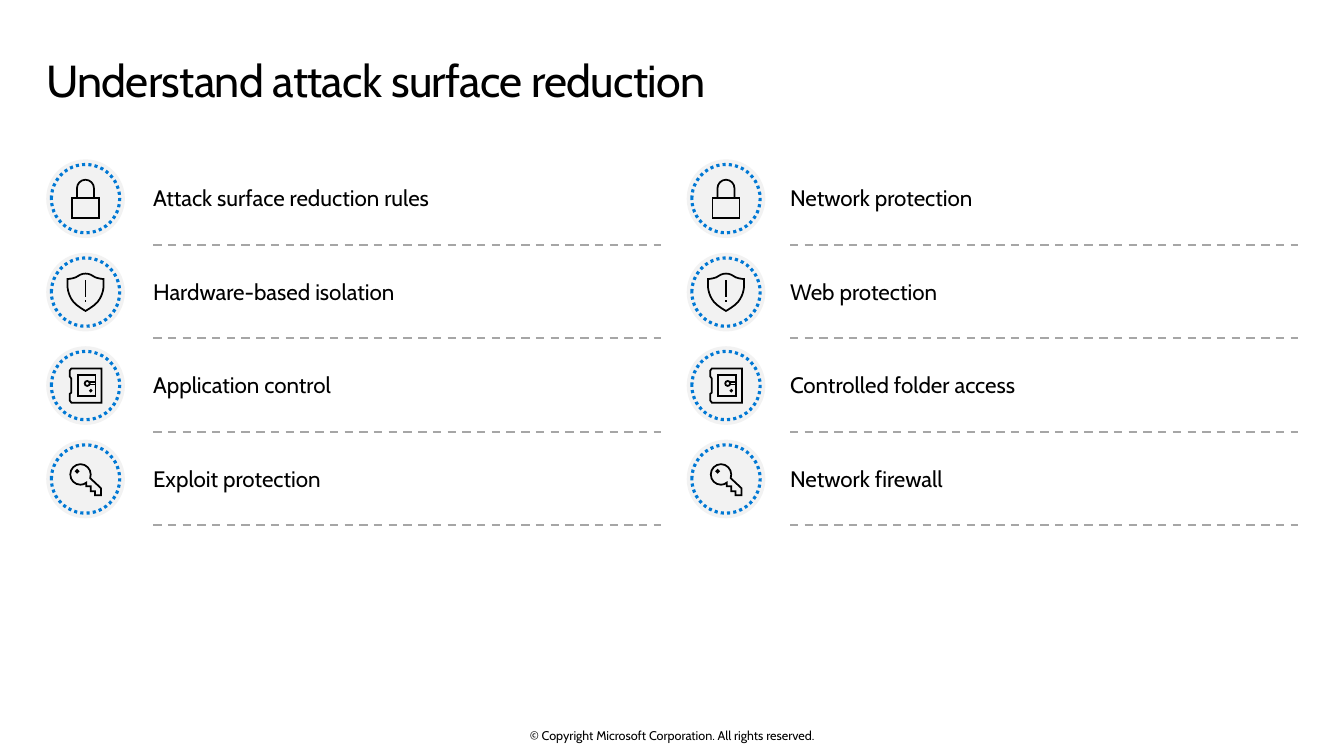
from copy import deepcopy

from lxml import etree
from pptx import Presentation
from pptx.dml.color import RGBColor
from pptx.enum.dml import MSO_LINE
from pptx.enum.shapes import MSO_CONNECTOR, MSO_SHAPE, PP_PLACEHOLDER
from pptx.enum.text import MSO_ANCHOR, MSO_AUTO_SIZE, PP_ALIGN
from pptx.oxml.ns import qn
from pptx.util import Pt

BLACK = RGBColor(0x00, 0x00, 0x00)
DISC_GREY = RGBColor(0xF2, 0xF2, 0xF2)
RULE_GREY = RGBColor(0xA6, 0xA6, 0xA6)
RING_BLUE = RGBColor(0x00, 0x78, 0xD4)
OVAL = MSO_SHAPE.OVAL
STRAIGHT = MSO_CONNECTOR.STRAIGHT
DASH, DOTS = MSO_LINE.DASH, MSO_LINE.ROUND_DOT
TOP, MIDDLE = MSO_ANCHOR.TOP, MSO_ANCHOR.MIDDLE
LEFT, CENTER = PP_ALIGN.LEFT, PP_ALIGN.CENTER
FIXED = MSO_AUTO_SIZE.NONE
BODY = PP_PLACEHOLDER.BODY
FONT = "Cabin"

ROW_TOP, ROW_PITCH, ROW_HEIGHT = 114.8, 66.75, 53
TOPIC_WIDTH, RULE_DROP = 363, 60
DISC_SIZE, RING_SIZE = 56.2, 48.8
COLUMNS = [
    (33, 109.4, ["Attack surface reduction rules", "Hardware-based isolation",
                 "Application control", "Exploit protection"]),
    (490.5, 564.3, ["Network protection", "Web protection",
                    "Controlled folder access", "Network firewall"]),
]


def rectangle(left, top, right, bottom):
    return [(left, top), (right, top), (right, bottom), (left, bottom)]


def circle(x, y, r):
    k = 0.55 * r
    return [
        (x + r, y),
        ((x + r, y + k), (x + k, y + r), (x, y + r)),
        ((x - k, y + r), (x - r, y + k), (x - r, y)),
        ((x - r, y - k), (x - k, y - r), (x, y - r)),
        ((x + k, y - r), (x + r, y - k), (x + r, y)),
    ]


LOCK = [
    (rectangle(-9.7, -0.5, 9.7, 13.6), True),
    ([(-6.1, -0.5), (-6.1, -7.2), ((-6.1, -10.7), (-3.4, -13.5), (0, -13.5)),
      ((3.4, -13.5), (6.1, -10.7), (6.1, -7.2)), (6.1, -0.5)], False),
]
SHIELD = [
    ([(-8.5, 7.2), ((-13.2, 1.5), (-12.9, -5), (-12.9, -5)), (-12.9, -9.3),
      ((-12.9, -9.3), (-10, -9.4), (-7, -10.5)),
      ((-4.7, -11.8), (-3.2, -13.2), (0, -13.2)),
      ((3.2, -13.2), (4.7, -11.8), (7, -10.5)),
      ((10, -9.4), (12.9, -9.3), (12.9, -9.3)), (12.9, -5),
      ((12.9, -5), (13.2, 1.5), (8.5, 7.2)),
      ((6, 10.1), (0, 13.5), (0, 13.5)),
      ((0, 13.5), (-6, 10.1), (-8.5, 7.2))], True),
    ([(0, -8.6), (0, 3.6)], False),
    ([(0, 5.8), (0, 7.2)], False),
]
SAFE = [
    ([(11.5, -12.2), (11.5, 12.2), (-10.1, 12.2),
      ((-10.1, 11.5), (-10.6, 10.8), (-11.2, 10.8)), (-11.2, 5.9),
      ((-10.5, 5.9), (-10.1, 5.6), (-10.1, 5)), (-10.1, -5),
      ((-10.1, -5.8), (-10.6, -6.4), (-11.2, -6.4)), (-11.2, -10.8),
      ((-10.5, -10.8), (-10.1, -11.4), (-10.1, -12.2))], True),
    (rectangle(-5.6, -7.8, 7.2, 7.3), True),
    (circle(1.2, -1.5, 1.8), True),
    (circle(3.8, 3.7, 0.5), True),
    ([(2.9, -2.7), (7.2, -2.7)], False),
    ([(2.9, -0.7), (7.2, -0.7)], False),
]
KEY = [
    ([(0.5, 2.6), ((-0.7, 3.6), (-2, 4.1), (-3.6, 4.1)),
      ((-7.7, 4.1), (-10.9, 0.9), (-10.9, -3.3)),
      ((-10.9, -7.2), (-7.7, -10.6), (-3.6, -10.6)),
      ((0.4, -10.6), (3.7, -7.2), (3.7, -3.3)),
      ((3.7, -2.3), (3.5, -1.4), (3.3, -0.6)),
      (11, 6.6), (11, 11.6), (6.7, 11.6), (6.7, 8.8), (3.7, 8.8),
      (3.7, 5.2), (0.5, 5.2)], True),
    (circle(-6, -5.5, 0.95), True),
]
ICONS = [LOCK, SHIELD, SAFE, KEY]


def place(shape, left, top, width, height):
    shape.left, shape.top = Pt(left), Pt(top)
    shape.width, shape.height = Pt(width), Pt(height)


def write(shape, words, size, anchor=MIDDLE, align=LEFT, insets=(0, 0, 0, 0)):
    frame = shape.text_frame
    frame.word_wrap = True
    frame.auto_size = FIXED
    frame.vertical_anchor = anchor
    frame.margin_left, frame.margin_top, frame.margin_right, frame.margin_bottom = map(Pt, insets)
    paragraph = frame.paragraphs[0]
    properties = paragraph._p.get_or_add_pPr()
    properties.set("marL", "0")
    properties.set("indent", "0")
    etree.SubElement(properties, qn("a:buNone"))
    paragraph.alignment = align
    paragraph.space_before = Pt(0)
    run = paragraph.add_run()
    run.text = words
    run.font.name = FONT
    run.font.size = Pt(size)
    run.font.color.rgb = BLACK
    return paragraph


def topic_layout(deck, topic_count):
    layout = deck.slide_layouts[1]
    content = layout.placeholders[1].element
    content.ph.type = BODY
    for number in range(1, topic_count):
        extra = deepcopy(content)
        extra.ph.idx = 20 + number
        extra.nvSpPr.cNvPr.id = 100 + number
        layout.shapes.element.append(extra)
    return layout


def add_title(slide, left, top, width, height):
    title = slide.shapes.title
    place(title, left, top, width, height)
    heading = write(title, "Understand attack surface reduction", 32, TOP,
                    insets=(0, 7.2, 11.5, 7.2))
    heading.line_spacing = 0.9
    heading.runs[0].font._element.set("spc", "-50")


def draw_symbol(shapes, icon, x, y):
    builder = shapes.build_freeform()
    bends = []
    for (start, *steps), closed in icon:
        builder.move_to(*map(Pt, start))
        for step in steps:
            bent = len(step) == 3
            corners = step if bent else [step]
            bends.append(bent)
            builder.add_line_segments([tuple(map(Pt, corner)) for corner in corners], close=False)
        if closed:
            builder.add_line_segments([], close=True)
    symbol = builder.convert_to_shape(Pt(x), Pt(y))
    lines = iter(list(symbol._element.iter(qn("a:lnTo"))))
    for bent in bends:
        line = next(lines)
        if bent:
            line.tag = qn("a:cubicBezTo")
            for other in (next(lines), next(lines)):
                line.append(other[0])
                other.getparent().remove(other)
    first_move = next(symbol._element.iter(qn("a:moveTo")))
    first_move.getparent().remove(first_move)
    return symbol


def add_badge(slide, icon, left, top, size):
    badge = slide.shapes.add_group_shape().shapes
    inset = (size - RING_SIZE) / 2
    disc = badge.add_shape(OVAL, Pt(left), Pt(top), Pt(size), Pt(size))
    disc.fill.solid()
    disc.fill.fore_color.rgb = DISC_GREY
    disc.line.fill.background()
    ring = badge.add_shape(OVAL, Pt(left + inset), Pt(top + inset),
                           Pt(RING_SIZE), Pt(RING_SIZE))
    ring.line.color.rgb = RING_BLUE
    ring.line.width = Pt(2.25)
    ring.line.dash_style = DOTS
    symbol = draw_symbol(badge, icon, left + size / 2, top + size / 2)
    symbol.line.color.rgb = BLACK
    symbol.line.width = Pt(1.25)
    etree.SubElement(symbol._element.spPr.ln, qn("a:miter"), lim="800000")
    for part in (ring, symbol):
        part.fill.background()
    for part in (disc, ring, symbol):
        part.shadow.inherit = False


def add_rule(slide, left, top, width):
    rule = slide.shapes.add_connector(STRAIGHT, Pt(left), Pt(top), Pt(left + width), Pt(top))
    rule.line.color.rgb = RULE_GREY
    rule.line.width = Pt(1.5)
    rule.line.dash_style = DASH
    etree.SubElement(rule._element.spPr, qn("a:effectLst"))


def add_column(slide, bodies, topics, badge_left, left, top, width):
    for row, (topic, icon, body) in enumerate(zip(topics, ICONS, bodies)):
        row_top = top + row * ROW_PITCH
        add_rule(slide, left, row_top + RULE_DROP, width)
        add_badge(slide, icon, badge_left, row_top - 1, DISC_SIZE)
        place(body, left, row_top, width, ROW_HEIGHT)
        write(body, topic, 16)


def add_copyright(slide, left, top, width, height):
    notice = slide.shapes.add_textbox(Pt(left), Pt(top), Pt(width), Pt(height))
    write(notice, "© Copyright Microsoft Corporation. All rights reserved.", 9, align=CENTER)


def main():
    deck = Presentation()
    deck.slide_width, deck.slide_height = Pt(960), Pt(540)
    topic_count = sum(len(topics) for _, _, topics in COLUMNS)
    slide = deck.slides.add_slide(topic_layout(deck, topic_count))
    bodies = list(slide.placeholders)[1:]
    add_title(slide, 33, 34.5, 893, 53)
    for badge_left, left, topics in COLUMNS:
        column_bodies, bodies = bodies[:len(topics)], bodies[len(topics):]
        add_column(slide, column_bodies, topics, badge_left, left, ROW_TOP, TOPIC_WIDTH)
    add_copyright(slide, 318, 520, 324, 11)
    deck.save("out.pptx")


if __name__ == "__main__":
    main()
